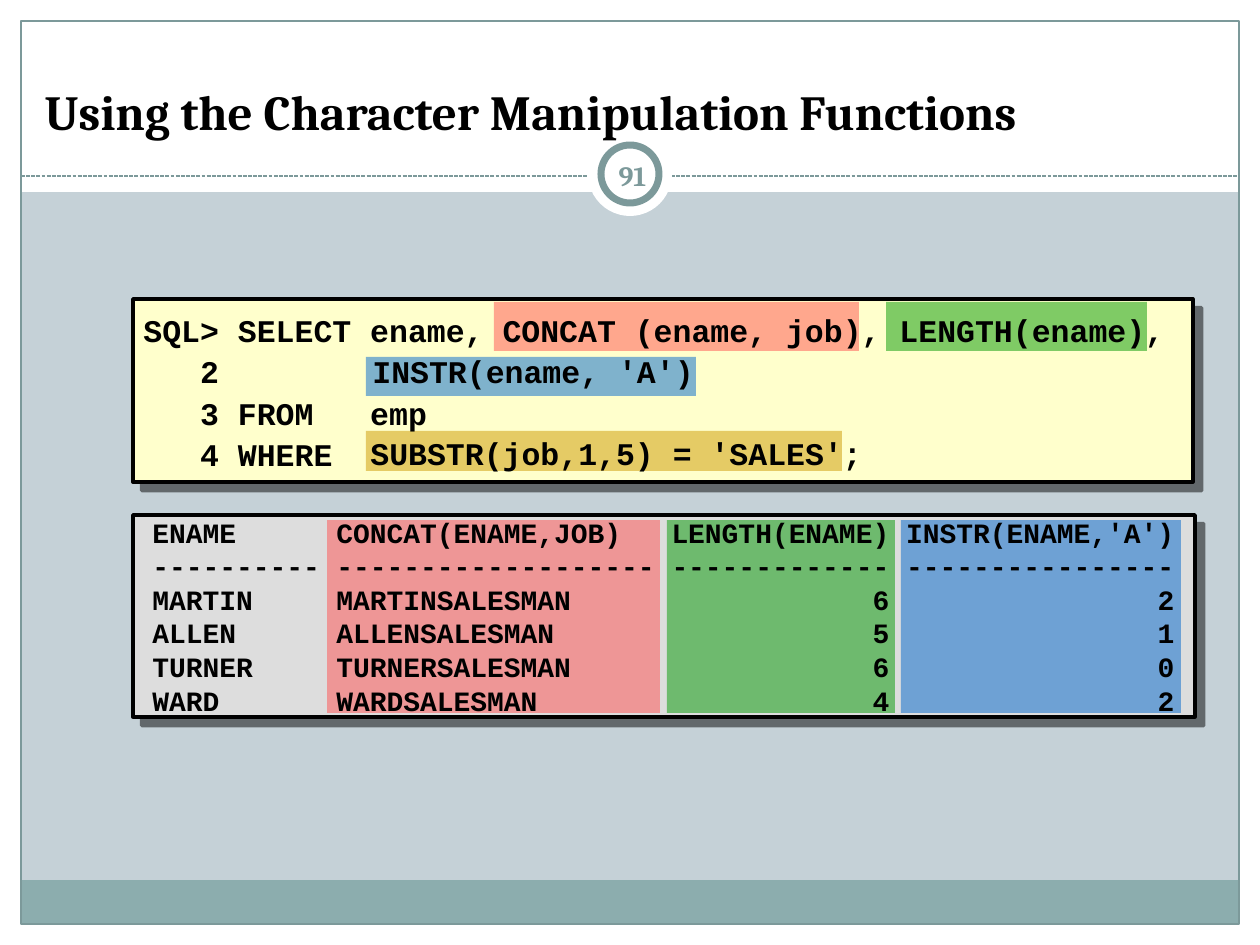
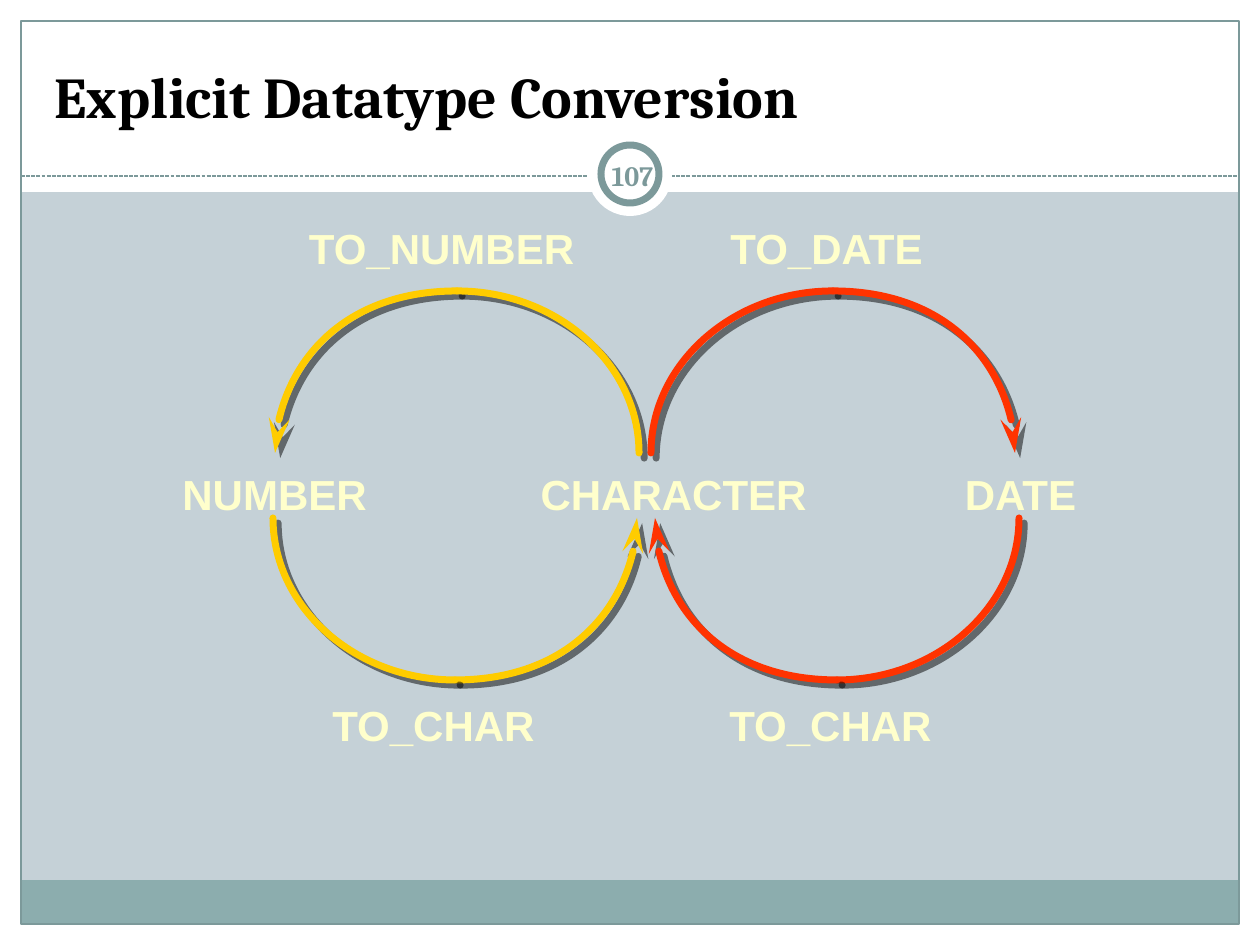
from dataclasses import dataclass
from math import cos, radians, sin

from lxml.etree import SubElement
from pptx import Presentation
from pptx.dml.color import RGBColor
from pptx.enum.dml import MSO_LINE
from pptx.enum.shapes import MSO_CONNECTOR, MSO_SHAPE
from pptx.enum.text import MSO_ANCHOR, MSO_AUTO_SIZE, PP_ALIGN
from pptx.oxml.ns import qn
from pptx.util import Emu, Pt


@dataclass(frozen=True)
class Theme:
    white: str = "FFFFFF"
    black: str = "000000"
    back: str = "C5D1D7"
    band: str = "8CADAE"
    edge: str = "7C999A"
    cream: str = "FFFFCC"
    grey: str = "DDDDDD"
    pink: str = "FF5050"
    green: str = "009900"
    blue: str = "0066CC"
    gold: str = "CC9900"
    amber: str = "FFCC00"
    red: str = "FF3300"
    serif: str = "Cambria"
    sans: str = "Arial"
    mono: str = "Courier New"
    label: int = 24
    code: int = 18
    small: int = 16


THEME = Theme()
SCALE = 914400 / 126
WIDE, HIGH = 1260, 945

CODE = [
    "SQL> SELECT ename, CONCAT (ename, job), LENGTH(ename),",
    "   2 \tINSTR(ename, 'A')",
    "   3 FROM   emp",
    "   4 WHERE",
]
ROWS = [
    ("ENAME", "CONCAT(ENAME,JOB)", "LENGTH(ENAME)", "INSTR(ENAME,'A')"),
    tuple("-" * size for size in (10, 19, 13, 16)),
    ("MARTIN", "MARTINSALESMAN", "6", "2"),
    ("ALLEN", "ALLENSALESMAN", "5", "1"),
    ("TURNER", "TURNERSALESMAN", "6", "0"),
    ("WARD", "WARDSALESMAN", "4", "2"),
]
MARKS = [
    (494, 302, 365, 49, THEME.pink),
    (327, 520, 333, 193, THEME.pink),
    (886, 302, 261, 49, THEME.green),
    (667, 520, 228, 193, THEME.green),
    (366, 357, 330, 39, THEME.blue),
    (901, 520, 280, 193, THEME.blue),
    (366, 431, 476, 40, THEME.gold),
]
LABELS = [
    ("NUMBER", 95, 462, 359),
    ("CHARACTER", 494, 462, 359),
    ("DATE", 901, 462, 239),
    ("TO_CHAR", 254, 693, 359),
    ("TO_CHAR", 651, 693, 359),
    ("TO_NUMBER", 262, 216, 359),
    ("TO_DATE", 647, 216, 359),
]
ARCHES = [
    (455, 518, 0, THEME.amber, "headEnd"),
    (457, 453, 2, THEME.amber, "headEnd"),
    (837, 518, 0, THEME.red, "tailEnd"),
    (833, 453, 2, THEME.red, "tailEnd"),
]


def emu(px):
    return Emu(round(px * SCALE))


def paint(shape, fill=None, line=None, width=0.75):
    shape.shadow.inherit = False
    if fill:
        shape.fill.solid()
        shape.fill.fore_color.rgb = RGBColor.from_string(fill)
    else:
        shape.fill.background()
    if line:
        shape.line.color.rgb = RGBColor.from_string(line)
        shape.line.width = Pt(width)
    else:
        shape.line.fill.background()


def form(slide, kind, box, fill=None, line=None, width=0.75):
    shape = slide.shapes.add_shape(kind, *map(emu, box))
    paint(shape, fill, line, width)
    return shape


def fade(color):
    SubElement(color, qn("a:alpha"), val="50000")


def shade(shape, dist):
    effect = shape.element.spPr.find(qn("a:effectLst"))
    outer = SubElement(effect, qn("a:outerShdw"), blurRad="0", dist=str(Pt(dist)),
                       dir="2700000", algn="ctr", rotWithShape="0")
    fade(SubElement(outer, qn("a:srgbClr"), val=THEME.black))


def write(par, text, font, size, color, bold=True):
    run = par.add_run()
    run.text = text
    run.font.name = font
    run.font.size = Pt(size)
    run.font.bold = bold
    run.font.color.rgb = RGBColor.from_string(color)


def stops(par, tabs):
    if tabs:
        group = SubElement(par._p.get_or_add_pPr(), qn("a:tabLst"))
        for place, side in tabs:
            SubElement(group, qn("a:tab"), pos=str(emu(place)), algn=side)


def note(slide, box, lines, font, size, color, align=PP_ALIGN.LEFT,
         anchor=MSO_ANCHOR.TOP, wrap=True, space=None, tabs=()):
    frame = slide.shapes.add_textbox(*map(emu, box)).text_frame
    frame.word_wrap = wrap
    frame.vertical_anchor = anchor
    for index, text in enumerate(lines):
        par = frame.add_paragraph() if index else frame.paragraphs[0]
        stops(par, tabs)
        par.alignment = align
        if space:
            par.line_spacing = space
        write(par, text, font, size, color)
    return frame


def dress(slide):
    layout = slide.slide_layout
    fill = layout.background.fill
    fill.solid()
    fill.fore_color.rgb = RGBColor.from_string(THEME.back)
    rim = 21
    for box in [(0, HIGH - rim, WIDE, rim), (0, 0, WIDE, 192),
                (0, 0, rim, HIGH), (WIDE - rim, 0, rim, HIGH)]:
        form(slide, MSO_SHAPE.RECTANGLE, box, THEME.white)
    form(slide, MSO_SHAPE.RECTANGLE, (rim, 880, WIDE - 2 * rim, 43), THEME.band)
    form(slide, MSO_SHAPE.RECTANGLE,
         (rim, rim, WIDE - 2 * rim, HIGH - 2 * rim), line=THEME.edge)
    rule = slide.shapes.add_connector(
        MSO_CONNECTOR.STRAIGHT, *map(emu, (rim, 176, WIDE - rim, 176)))
    rule.line.color.rgb = RGBColor.from_string(THEME.edge)
    rule.line.width = Pt(0.75)
    rule.line.dash_style = MSO_LINE.SQUARE_DOT
    SubElement(rule.element.spPr, qn("a:effectLst"))
    form(slide, MSO_SHAPE.OVAL, (588, 132, 84, 84), THEME.white)
    form(slide, MSO_SHAPE.OVAL, (601, 145, 58, 58), THEME.white, THEME.edge, 4)
    for index, shape in enumerate(list(slide.shapes)):
        if not shape.is_placeholder:
            shape.element.xpath(".//p:cNvPr")[0].set("id", str(100 + index))
            layout.shapes.element.append(shape.element)


def head(slide, text, size, left, top, page):
    title = slide.shapes.title
    title.left, title.top, title.width, title.height = map(emu, (left, top, 1176, 105))
    frame = title.text_frame
    frame.word_wrap = True
    frame.auto_size = MSO_AUTO_SIZE.NONE
    frame.vertical_anchor = MSO_ANCHOR.BOTTOM
    par = frame.paragraphs[0]
    par.alignment = PP_ALIGN.LEFT
    write(par, text, THEME.serif, size, THEME.black)
    badge = note(slide, (601, 141, 63, 60), [page], THEME.serif, THEME.small,
                 THEME.edge, PP_ALIGN.CENTER, MSO_ANCHOR.MIDDLE)
    badge.margin_left = badge.margin_right = emu(6)
    badge.margin_top = emu(14)


def panel(slide, box, fill):
    shade(form(slide, MSO_SHAPE.RECTANGLE, box, fill, THEME.black, 2), 7.1)


def mark(slide, box, hue):
    shape = form(slide, MSO_SHAPE.RECTANGLE, box, hue)
    fade(shape.element.spPr.find(qn("a:solidFill"))[0])


def bend(shape, turn):
    track = shape.element.xpath(".//a:pathLst")[0][0]
    start, end = [(int(pt.get("x")), int(pt.get("y"))) for pt in track.iter(qn("a:pt"))]
    bow = (end[0], start[1]) if turn % 2 else (start[0], end[1])
    pulls = [tuple(round(p + 0.55 * (b - p)) for p, b in zip(point, bow))
             for point in (start, end)]
    track.remove(track.find(qn("a:lnTo")))
    cubic = SubElement(track, qn("a:cubicBezTo"))
    for x, y in (*pulls, end):
        SubElement(cubic, qn("a:pt"), x=str(x), y=str(y))


def curve(slide, x, y, turn, hue, tip):
    angles = [radians(90 * step) for step in (turn, turn + 1)]
    start, end = [(emu(x + 182 * cos(a)), emu(y + 162 * sin(a))) for a in angles]
    builder = slide.shapes.build_freeform(*start)
    builder.add_line_segments([end], close=False)
    shape = builder.convert_to_shape()
    bend(shape, turn)
    paint(shape, line=hue, width=4)
    shade(shape, 4.2)
    line = shape.element.spPr.find(qn("a:ln"))
    line.set("cap", "rnd")
    SubElement(line, qn("a:round"))
    if tip:
        SubElement(line, qn("a:" + tip), type="stealth", w="med", len="lg")


def arch(slide, x, y, turn, hue, tip):
    curve(slide, x, y, turn, hue, tip if tip == "headEnd" else None)
    curve(slide, x, y, turn + 1, hue, tip if tip == "tailEnd" else None)


def query(slide):
    head(slide, "Using the Character Manipulation Functions", 28, 32, 42, "91")
    panel(slide, (133, 515, 1062, 202), THEME.grey)
    panel(slide, (133, 299, 1060, 183), THEME.cream)
    for *box, hue in MARKS:
        mark(slide, box, hue)
    note(slide, (131, 297, 1064, 186), CODE, THEME.mono, THEME.code, THEME.black,
         anchor=MSO_ANCHOR.MIDDLE, wrap=False, space=1.1, tabs=[(229, "l")])
    note(slide, (358, 420, 517, 58), ["SUBSTR(job,1,5) = 'SALES';"], THEME.mono,
         THEME.code, THEME.black, wrap=False, space=1.2)
    note(slide, (140, 509, 1055, 214), ["\t".join(row) for row in ROWS], THEME.mono,
         THEME.small, THEME.black, tabs=[(184, "l"), (737, "r"), (1022, "r")])


def convert(slide):
    head(slide, "Explicit Datatype Conversion", 33, 42, 31, "107")
    for item in ARCHES:
        arch(slide, *item)
    for text, left, top, width in LABELS:
        note(slide, (left, top, width, 63), [text], THEME.sans, THEME.label,
             THEME.cream, PP_ALIGN.CENTER)


def main():
    deck = Presentation()
    deck.slide_width, deck.slide_height = emu(WIDE), emu(HIGH)
    layout = deck.slide_layouts[5]
    first, second = (deck.slides.add_slide(layout) for _ in range(2))
    dress(first)
    query(first)
    convert(second)
    deck.save("out.pptx")


if __name__ == "__main__":
    main()
